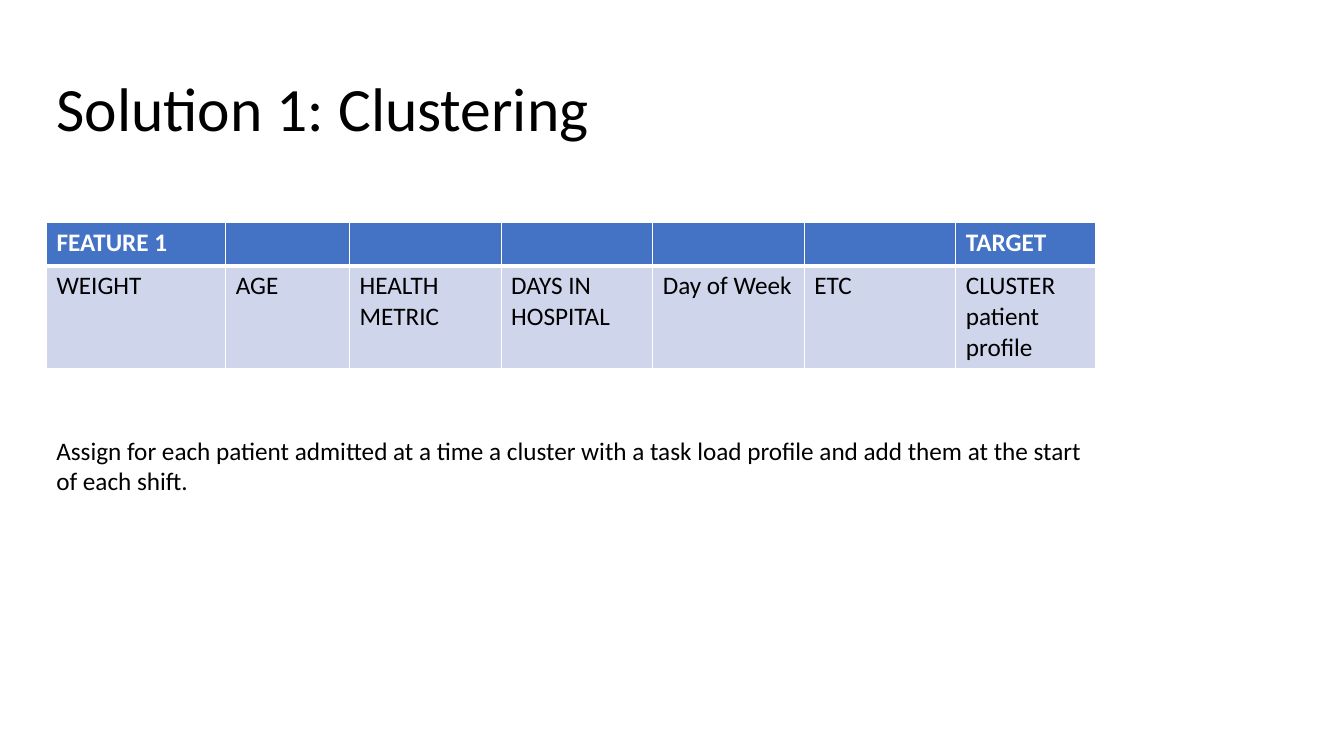
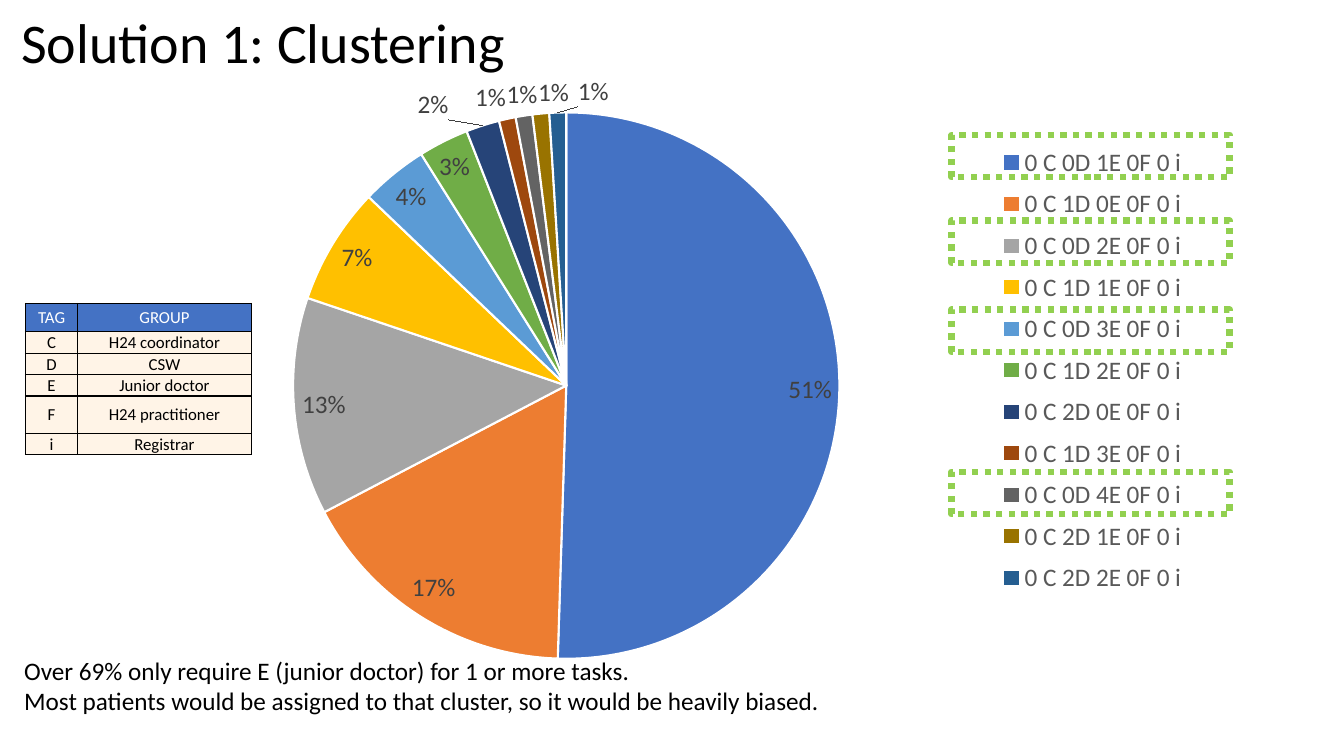
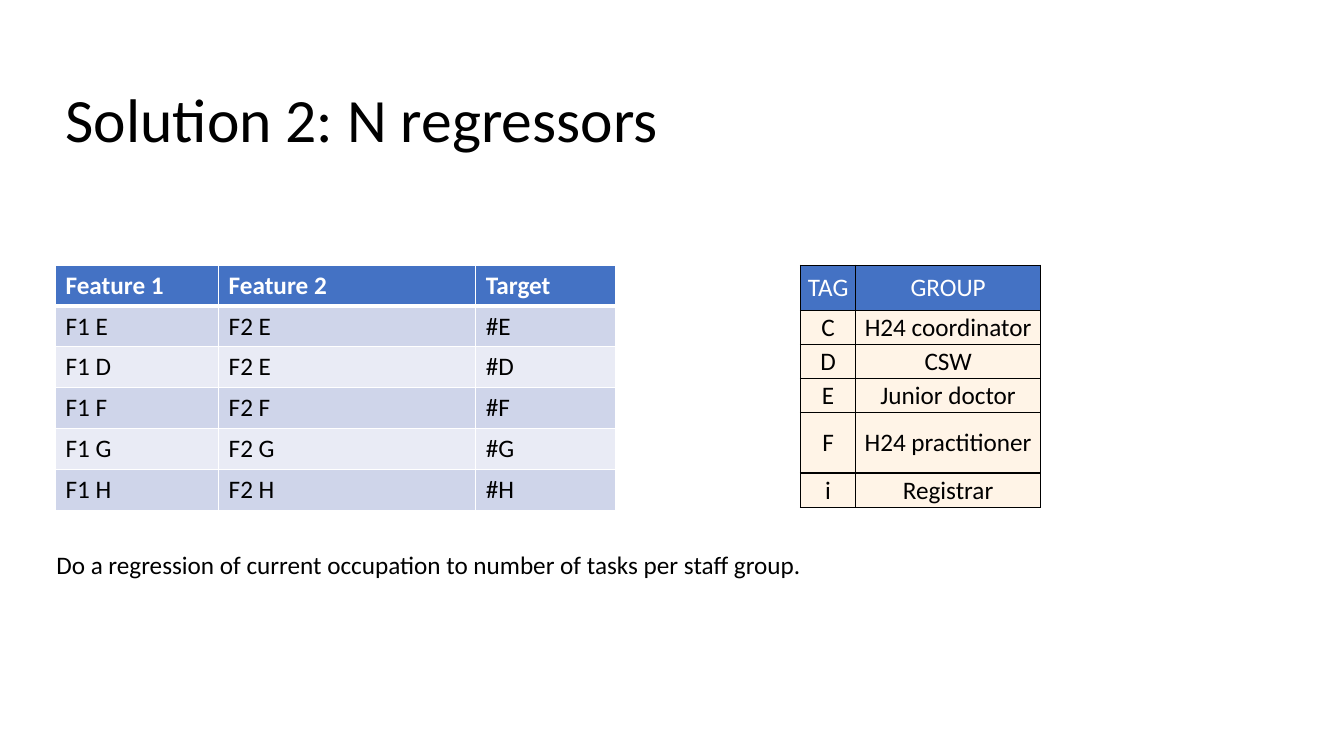
from lxml.etree import SubElement
from pptx import Presentation
from pptx.chart.data import CategoryChartData
from pptx.dml.color import RGBColor
from pptx.enum.chart import XL_CHART_TYPE, XL_LABEL_POSITION, XL_LEGEND_POSITION
from pptx.enum.dml import MSO_LINE
from pptx.enum.shapes import MSO_SHAPE
from pptx.enum.text import MSO_ANCHOR, MSO_AUTO_SIZE, PP_ALIGN
from pptx.oxml.ns import qn
from pptx.util import Cm, Pt

FONT = "Calibri"
BLACK, WHITE, BLUE, CREAM, GREEN = "000000", "FFFFFF", "4472C4", "FFF4E7", "92D050"
BANDS = ["CFD5EA", "E9EBF5"]
SLICES = [BLUE, "ED7D31", "A5A5A5", "FFC000", "5B9BD5", "70AD47",
          "264478", "9E480E", "636363", "997300", "255E91"]
TAGS = [["TAG", "GROUP"], ["C", "H24 coordinator"], ["D", "CSW"],
        ["E", "Junior doctor"], ["F", "H24 practitioner"], ["i", "Registrar"]]


def rgb(value):
    """Turn a hex string into a colour."""
    return RGBColor.from_string(value)


def apply(obj, **fmt):
    """Set every given attribute on an object."""
    for name, value in fmt.items():
        setattr(obj, name, value)


def style(font, size, color, bold=False):
    """Give a font the deck's face, with a size and a colour."""
    apply(font, name=FONT, size=Pt(size), bold=bold)
    font.color.rgb = rgb(color)


def border(cell, color, widths):
    """Draw the left, right, top and bottom borders of a cell."""
    tc_pr = cell._tc.get_or_add_tcPr()
    for side, width in zip("LRTB", widths):
        ln = SubElement(tc_pr, qn(f"a:ln{side}"), w=str(Pt(width)))
        SubElement(SubElement(ln, qn("a:solidFill")), qn("a:srgbClr"), val=color)


def place(parent, index, **box):
    """Fix a chart part at fractions of the chart area."""
    for old in parent.findall(qn("c:layout")):
        parent.remove(old)
    layout = SubElement(parent, qn("c:layout"))
    manual = SubElement(layout, qn("c:manualLayout"))
    if index == 0:
        SubElement(manual, qn("c:layoutTarget"), val="inner")
    for axis in "xy":
        SubElement(manual, qn(f"c:{axis}Mode"), val="edge")
    for name, value in box.items():
        SubElement(manual, qn(f"c:{name}"), val=str(value))
    parent.insert(index, layout)


class Deck:
    """Hold the presentation, its style and the current slide."""

    def __init__(self):
        """Start an empty widescreen presentation."""
        self.prs = Presentation()
        apply(self.prs, slide_width=Cm(33.87), slide_height=Cm(19.05))

    def slide(self, title, x, y, h=2.46, size=44):
        """Add a slide with a title."""
        self.s = self.prs.slides.add_slide(self.prs.slide_layouts[5])
        sp = self.s.shapes.title
        apply(sp, left=Cm(x), top=Cm(y), width=Cm(29.21), height=Cm(h))
        tf = sp.text_frame
        apply(tf, text=title, vertical_anchor=MSO_ANCHOR.MIDDLE,
              auto_size=MSO_AUTO_SIZE.NONE)
        p = tf.paragraphs[0]
        apply(p, alignment=PP_ALIGN.LEFT, line_spacing=0.9)
        style(p.runs[0].font, size, BLACK)

    def text(self, lines, x, y, w, h=1.8, wrap=True):
        """Add a text box with one paragraph per line."""
        tf = self.s.shapes.add_textbox(Cm(x), Cm(y), Cm(w), Cm(h)).text_frame
        apply(tf, word_wrap=wrap, text="\n".join(lines))
        for p in tf.paragraphs:
            style(p.runs[0].font, 18, BLACK)

    def grid(self, rows, x, y, widths, heights):
        """Add a table and yield each cell with its row number."""
        table = self.s.shapes.add_table(len(rows), len(widths), Cm(x), Cm(y),
                                        Cm(sum(widths)), Cm(sum(heights))).table
        for col, w in zip(table.columns, widths):
            col.width = Cm(w)
        for i, (row, h) in enumerate(zip(rows, heights)):
            table.rows[i].height = Cm(h)
            for cell, value in zip(table.rows[i].cells, row):
                cell.text = value
                yield i, cell

    def paint(self, cell, fill, size, color, bold=False):
        """Fill a cell and style its text."""
        cell.fill.solid()
        cell.fill.fore_color.rgb = rgb(fill)
        style(cell.text_frame.paragraphs[0].font, size, color, bold)

    def features(self, *args):
        """Add a banded feature table."""
        for i, cell in self.grid(*args):
            border(cell, WHITE, (1, 1, 1, 1 if i else 3))
            if i:
                self.paint(cell, BANDS[(i - 1) % 2], 18, BLACK)
            else:
                self.paint(cell, BLUE, 18, WHITE, True)

    def tags(self, x, y, widths, heights, size):
        """Add the table of staff tags."""
        for i, cell in self.grid(TAGS, x, y, widths, heights):
            apply(cell, vertical_anchor=MSO_ANCHOR.MIDDLE, margin_left=Cm(0.02),
                  margin_right=Cm(0.02), margin_top=Cm(0.02), margin_bottom=0)
            cell.text_frame.paragraphs[0].alignment = PP_ALIGN.CENTER
            border(cell, BLACK, (1, 1, 1, 1))
            self.paint(cell, CREAM if i else BLUE, size, BLACK if i else WHITE)

    def pie(self, cats, vals, x, y, w, h):
        """Add a pie chart with a legend on the right."""
        data = CategoryChartData()
        data.categories = cats
        data.add_series("Series 1", vals)
        chart = self.s.shapes.add_chart(XL_CHART_TYPE.PIE, Cm(x), Cm(y),
                                        Cm(w), Cm(h), data).chart
        apply(chart, has_title=False, has_legend=True)
        style(chart.font, 18, BLACK)
        apply(chart.legend, position=XL_LEGEND_POSITION.RIGHT, include_in_layout=False)
        style(chart.legend.font, 18, "595959")
        plot = chart.plots[0]
        apply(plot, vary_by_categories=True, has_data_labels=True)
        apply(plot.data_labels, show_value=True, show_percentage=False,
              number_format='0"%"', number_format_is_linked=False,
              position=XL_LABEL_POSITION.BEST_FIT)
        style(plot.data_labels.font, 18, "404040")
        for i, color in enumerate(SLICES):
            fmt = plot.series[0].points[i].format
            fmt.fill.solid()
            fmt.fill.fore_color.rgb = rgb(color)
            fmt.line.color.rgb = rgb(WHITE)
            fmt.line.width = Pt(1.5)
        place(plot._element.getparent(), 0, x=0.22, y=0.08, w=0.41, h=0.89)
        place(chart.legend._element, 1, x=0.74, y=0.12, w=0.16, h=0.76)

    def frame(self, x, y, w, h):
        """Add a dotted frame."""
        sp = self.s.shapes.add_shape(MSO_SHAPE.RECTANGLE, Cm(x), Cm(y), Cm(w), Cm(h))
        sp.shadow.inherit = False
        sp.fill.background()
        sp.line.color.rgb = rgb(GREEN)
        apply(sp.line, width=Pt(4.5), dash_style=MSO_LINE.ROUND_DOT)


def main():
    """Build the three slides."""
    d = Deck()

    d.slide("Solution 1: Clustering", 1.17, 1.57)
    d.features([["FEATURE 1", "", "", "", "", "", "TARGET"],
                ["WEIGHT", "AGE", "HEALTH METRIC", "DAYS IN HOSPITAL",
                 "Day of Week", "ETC", "CLUSTER patient profile"]],
               1.17, 5.61, [4.52, 3.12] + [3.82] * 4 + [3.51], [1.09, 2.58])
    d.text(["Assign for each patient admitted at a time a cluster with a task load "
            "profile and add them at the start of each shift."], 1.17, 10.85, 26.39)

    d.slide("Solution 1: Clustering", 0.28, 0.23, 1.83, 40)
    mixes = ["0D 1E", "1D 0E", "0D 2E", "1D 1E", "0D 3E", "1D 2E",
             "2D 0E", "1D 3E", "0D 4E", "2D 1E", "2D 2E"]
    d.pie([f"0 C {mix} 0F 0 i".replace("E 0F", "E 0F") for mix in mixes],
          [51, 17, 13, 7, 4, 3, 2, 1, 1, 1, 1], 0, 1.57, 33.58, 15.52)
    d.text(["Over 69% only require E (junior doctor) for 1 or more tasks.",
            "Most patients would be assigned to that cluster, so it would be "
            "heavily biased."], 0.36, 16.38, 30.63)
    for y in (3.4, 5.56, 7.8, 11.89):
        d.frame(23.98, y, 7.01, 1.07)
    d.tags(0.64, 7.65, [1.32, 4.37], [0.71, 0.54, 0.54, 0.54, 0.94, 0.54], 12)

    d.slide("Solution 2: N regressors", 1.4, 1.85)
    pairs = ["EE", "DE", "FF", "GG", "HH"]
    d.features([["Feature 1", "Feature 2", "Target"]]
               + [[f"F1 {a}", f"F2 {b}", f"#{a}"] for a, b in pairs],
               1.4, 6.68, [4.11, 6.48, 3.53], [1.03] * 6)
    d.text(["Do a regression of current occupation to number of tasks per staff "
            "group."], 1.17, 13.72, 19.51, 1.02, False)
    d.tags(20.17, 6.68, [1.4, 4.65], [1.14, 0.86, 0.86, 0.86, 1.52, 0.86], 18)

    d.prs.save("out.pptx")


if __name__ == "__main__":
    main()
